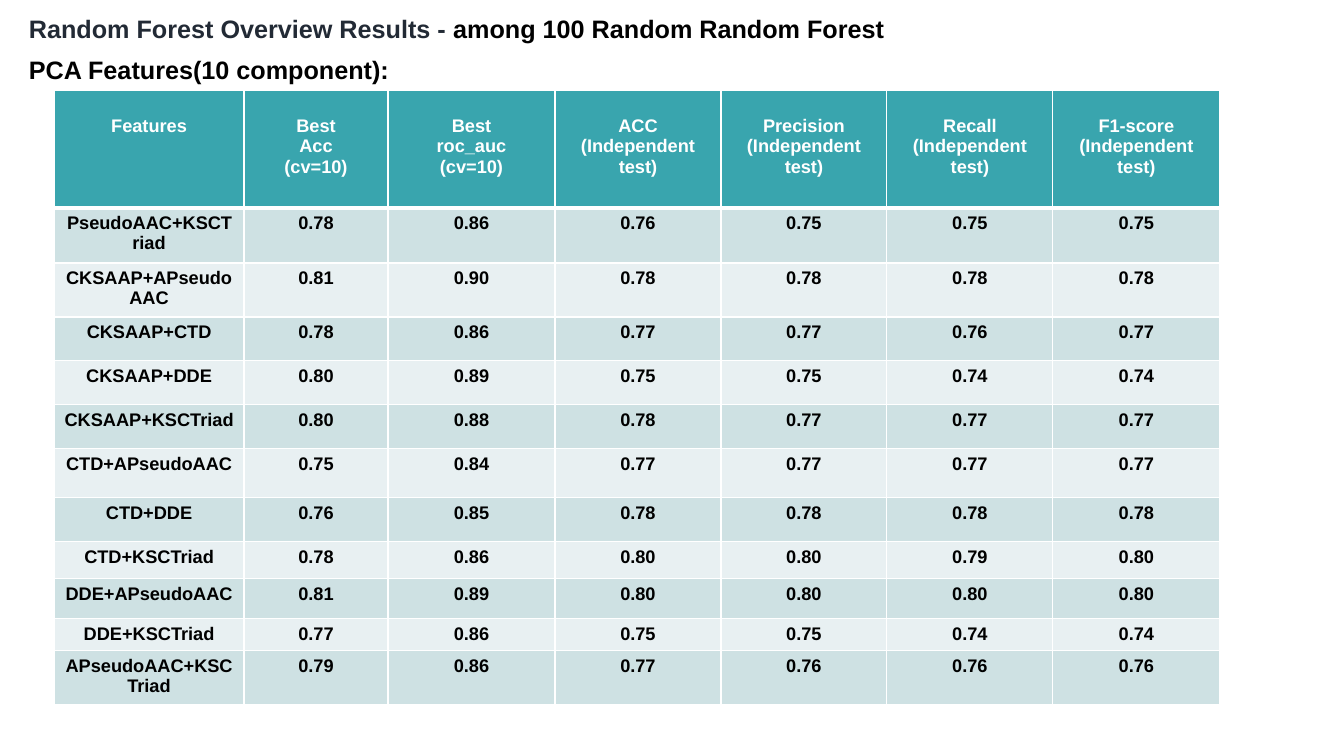
from dataclasses import dataclass

from lxml.etree import SubElement
from pptx import Presentation
from pptx.dml.color import RGBColor
from pptx.enum.text import MSO_ANCHOR, PP_ALIGN
from pptx.oxml.ns import qn
from pptx.util import Emu, Pt

PX_PER_INCH = 100.8
FONT = "Arial"
WHITE, BLACK, NAVY = "FFFFFF", "000000", "222A35"
TEAL = "39A5AE"
BANDS = ("CEE1E3", "E8F0F2")
HEADING_PT, TABLE_PT = 18, 13


@dataclass
class TextRun:
    text: str
    color: str = BLACK


@dataclass
class Heading:
    left: int
    top: int
    width: int
    height: int
    align: PP_ALIGN
    runs: list[TextRun]


@dataclass
class FeatureResult:
    features: str
    scores: str
    height: int = 44


HEADINGS = [
    Heading(19, 49, 1110, 40, PP_ALIGN.JUSTIFY,
            [TextRun("PCA Features(10 component):")]),
    Heading(19, 8, 953, 40, PP_ALIGN.LEFT,
            [TextRun("Random Forest Overview Results - ", NAVY),
             TextRun("among 100 Random Random Forest")]),
]

TABLE_LEFT, TABLE_TOP = 54, 90
COLUMN_WIDTHS = (190, 144, 167, 166, 166, 166, 167)
HEADER_HEIGHT, HEADER_MARGIN, BODY_MARGIN = 118, 26, 5
TEST = "(Independent test)"
HEADERS = [
    ["Features"],
    ["Best", "Acc", "(cv=10)"],
    ["Best", "roc_auc", "(cv=10)"],
    *([measure, TEST] for measure in ("ACC", "Precision", "Recall", "F1-score")),
]
RESULTS = [
    FeatureResult("PseudoAAC+KSCTriad", "0.78 0.86 0.76 0.75 0.75 0.75", 55),
    FeatureResult("CKSAAP+APseudoAAC", "0.81 0.90 0.78 0.78 0.78 0.78", 54),
    FeatureResult("CKSAAP+CTD", "0.78 0.86 0.77 0.77 0.76 0.77"),
    FeatureResult("CKSAAP+DDE", "0.80 0.89 0.75 0.75 0.74 0.74"),
    FeatureResult("CKSAAP+KSCTriad", "0.80 0.88 0.78 0.77 0.77 0.77"),
    FeatureResult("CTD+APseudoAAC", "0.75 0.84 0.77 0.77 0.77 0.77", 49),
    FeatureResult("CTD+DDE", "0.76 0.85 0.78 0.78 0.78 0.78"),
    FeatureResult("CTD+KSCTriad", "0.78 0.86 0.80 0.80 0.79 0.80", 37),
    FeatureResult("DDE+APseudoAAC", "0.81 0.89 0.80 0.80 0.80 0.80", 40),
    FeatureResult("DDE+KSCTriad", "0.77 0.86 0.75 0.75 0.74 0.74", 32),
    FeatureResult("APseudoAAC+KSCTriad", "0.79 0.86 0.77 0.76 0.76 0.76", 54),
]


def px(length: int) -> Emu:
    return Emu(round(length * 914400 / PX_PER_INCH))


def rgb(color: str) -> RGBColor:
    return RGBColor.from_string(color)


def add_run(paragraph, text: str, size: int, color: str) -> None:
    run = paragraph.add_run()
    run.text = text
    run.font.name = FONT
    run.font.size = Pt(size)
    run.font.bold = True
    run.font.color.rgb = rgb(color)


def add_heading(slide, heading: Heading) -> None:
    box = slide.shapes.add_textbox(px(heading.left), px(heading.top),
                                   px(heading.width), px(heading.height))
    box.text_frame.word_wrap = True
    paragraph = box.text_frame.paragraphs[0]
    paragraph.alignment = heading.align
    for part in heading.runs:
        add_run(paragraph, part.text, HEADING_PT, part.color)


def set_borders(cell, top: int = 1, bottom: int = 1) -> None:
    properties = cell._tc.get_or_add_tcPr()
    widths = {"a:lnL": 1, "a:lnR": 1, "a:lnT": top, "a:lnB": bottom}
    for tag, width in widths.items():
        line = SubElement(properties, qn(tag), w=str(Pt(width)))
        fill = SubElement(line, qn("a:solidFill"))
        SubElement(fill, qn("a:srgbClr"), val=WHITE)


def fill_cell(cell, lines: list[str], color: str, background: str,
              margin: int, top: int = 1, bottom: int = 1) -> None:
    set_borders(cell, top, bottom)
    cell.fill.solid()
    cell.fill.fore_color.rgb = rgb(background)
    cell.vertical_anchor = MSO_ANCHOR.TOP
    cell.margin_top = px(margin)
    frame = cell.text_frame
    for index, text in enumerate(lines):
        paragraph = frame.add_paragraph() if index else frame.paragraphs[0]
        paragraph.alignment = PP_ALIGN.CENTER
        add_run(paragraph, text, TABLE_PT, color)


def add_results_table(slide) -> None:
    heights = [HEADER_HEIGHT, *(result.height for result in RESULTS)]
    table = slide.shapes.add_table(
        len(heights), len(COLUMN_WIDTHS), px(TABLE_LEFT), px(TABLE_TOP),
        px(sum(COLUMN_WIDTHS)), px(sum(heights))).table
    for column, width in zip(table.columns, COLUMN_WIDTHS):
        column.width = px(width)
    for row, height in zip(table.rows, heights):
        row.height = px(height)

    # Header row, with a thick rule below
    for column, lines in enumerate(HEADERS):
        fill_cell(table.cell(0, column), lines, WHITE, TEAL, HEADER_MARGIN, bottom=3)

    # Banded result rows
    for row, result in enumerate(RESULTS, start=1):
        for column, text in enumerate([result.features, *result.scores.split()]):
            fill_cell(table.cell(row, column), [text], BLACK, BANDS[(row - 1) % 2],
                      BODY_MARGIN, top=3 if row == 1 else 1)


def main() -> None:
    presentation = Presentation()
    presentation.slide_width, presentation.slide_height = px(1344), px(756)
    slide = presentation.slides.add_slide(presentation.slide_layouts[6])
    for heading in HEADINGS:
        add_heading(slide, heading)
    add_results_table(slide)
    presentation.save("out.pptx")


if __name__ == "__main__":
    main()
